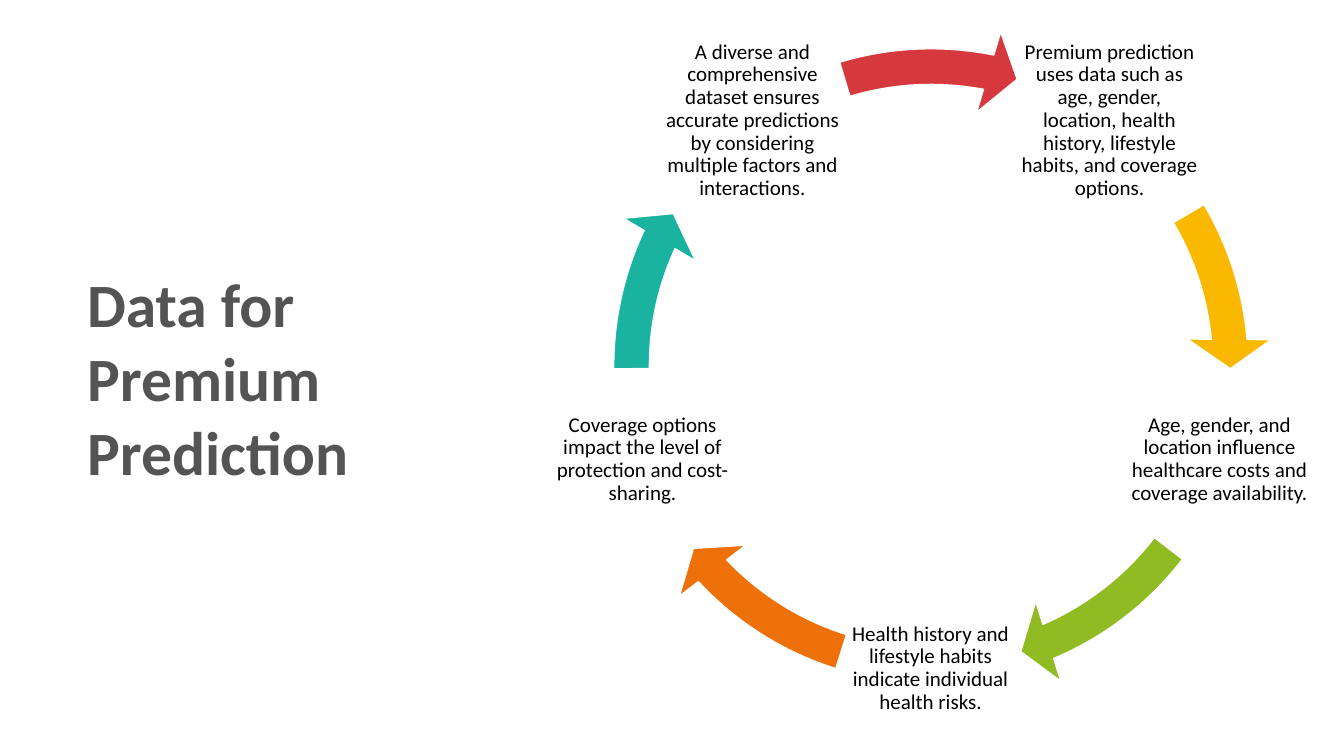
import math

from pptx import Presentation
from pptx import util as u
from pptx.dml.color import RGBColor
from pptx.enum import shapes, text

TITLE = "Data for Premium Prediction"
STAGES = [
    ("Premium prediction uses data such as age, gender, location, health history, "
     "lifestyle habits, and coverage options.", "FAB900", 329.42, 354.91),
    ("Age, gender, and location influence healthcare costs and coverage availability.",
     "90BB23", 37.54, 66.94),
    ("Health history and lifestyle habits indicate individual health risks.",
     "EE7008", 107.47, 136.87),
    ("Coverage options impact the level of protection and cost-sharing.",
     "1AB39F", 179.5, 204.99),
    ("A diverse and comprehensive dataset ensures accurate predictions by considering "
     "multiple factors and interactions.", "D5393D", 253.29, 281.12),
]

SCALE = 914400 / 100.8
CENTER_X, CENTER_Y = 931, 366
RING_SIZE = 682
LABEL_RADIUS = 303
LABEL_SIZE = 181
LABEL_INSET = 2
FIRST_ANGLE = -54
BAND_THICKNESS = 0.052
HEAD_WIDTH = 0.061
HEAD_ANGLE = 5.59
DEGREE = 0.6


def px(length):
    return u.Emu(round(length * SCALE))


def color(value):
    return RGBColor.from_string(value)


def square(center_x, center_y, size):
    return (px(round(center_x - size / 2)), px(round(center_y - size / 2)),
            px(size), px(size))


def add_run(paragraph, words, size, shade, bold=False):
    run = paragraph.add_run()
    run.text = words
    run.font.name = "Calibri"
    run.font.size = u.Pt(size)
    run.font.bold = bold
    run.font.color.rgb = color(shade)


def add_title(slide):
    title = slide.shapes.title
    title.left, title.top, title.width, title.height = map(px, (77, -40, 329, 833))
    frame = title.text_frame
    frame.word_wrap = True
    frame.auto_size = text.MSO_AUTO_SIZE.NONE
    frame.vertical_anchor = text.MSO_ANCHOR.MIDDLE
    paragraph = frame.paragraphs[0]
    paragraph.alignment = text.PP_ALIGN.LEFT
    paragraph.space_after = u.Pt(4.5)
    add_run(paragraph, TITLE, 44, "545454", True)


def add_label(slide, words, angle):
    center_x = CENTER_X + LABEL_RADIUS * math.cos(angle)
    center_y = CENTER_Y + LABEL_RADIUS * math.sin(angle)
    frame = slide.shapes.add_textbox(*square(center_x, center_y, LABEL_SIZE)).text_frame
    frame.word_wrap = True
    frame.vertical_anchor = text.MSO_ANCHOR.MIDDLE
    frame.margin_left = frame.margin_right = px(LABEL_INSET)
    frame.margin_top = frame.margin_bottom = px(LABEL_INSET)
    paragraph = frame.paragraphs[0]
    paragraph.alignment = text.PP_ALIGN.CENTER
    paragraph.line_spacing = 0.9
    add_run(paragraph, words, 15, "000000")


def add_arrow(slide, fill, start, end):
    arrow = slide.shapes.add_shape(shapes.MSO_SHAPE.CIRCULAR_ARROW,
                                   *square(CENTER_X, CENTER_Y, RING_SIZE))
    values = (BAND_THICKNESS, HEAD_ANGLE * DEGREE, end * DEGREE, start * DEGREE, HEAD_WIDTH)
    for index, value in enumerate(values):
        arrow.adjustments[index] = value
    arrow.shadow.inherit = False
    arrow.fill.solid()
    arrow.fill.fore_color.rgb = color(fill)
    arrow.line.color.rgb = color("FFFFFF")
    arrow.line.width = u.Pt(0.85)


def main():
    presentation = Presentation()
    presentation.slide_width, presentation.slide_height = px(1344), px(756)
    slide = presentation.slides.add_slide(presentation.slide_layouts[5])
    add_title(slide)
    for index, (words, fill, start, end) in enumerate(STAGES):
        add_label(slide, words, math.radians(FIRST_ANGLE + index * 360 / len(STAGES)))
        add_arrow(slide, fill, start, end)
    presentation.save("out.pptx")


if __name__ == "__main__":
    main()
